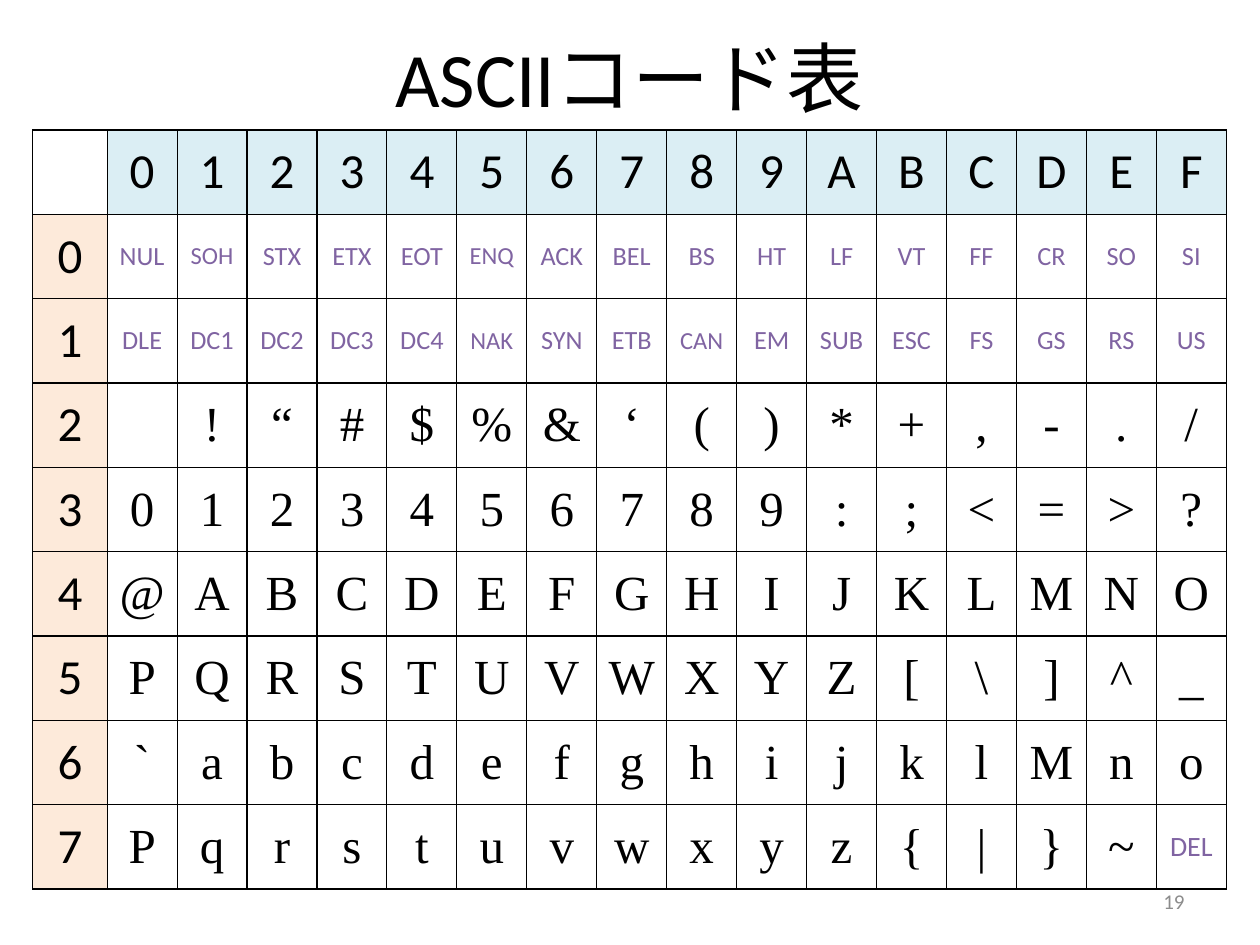
import pptx
import pptx.util
import pptx.dml.color
import pptx.enum.text
import pptx.oxml
import pptx.oxml.ns

Cm = pptx.util.Cm
Pt = pptx.util.Pt
Align = pptx.enum.text.PP_ALIGN
Anchor = pptx.enum.text.MSO_ANCHOR


def paint(hue):
    return pptx.dml.color.RGBColor.from_string(hue)


def write(frame, text, size, hue="000000", font="Calibri", align=Align.CENTER):
    para = frame.paragraphs[0]
    para.alignment = align
    run = para.add_run()
    run.text = text
    run.font.size = Pt(size)
    run.font.name = font
    run.font.color.rgb = paint(hue)
    return para


deck = pptx.Presentation()
deck.slide_width = Cm(25.4)
deck.slide_height = Cm(19.05)
slide = deck.slides.add_slide(deck.slide_layouts[6])

labels = [
    ("ASCIIコード表", (0.89, -0.05, 23.6, 3.18), 44, "000000", Align.CENTER),
    ("19", (18.2, 17.66, 5.93, 1.01), 12, "8C8C8C", Align.RIGHT),
]
for text, place, size, hue, align in labels:
    frame = slide.shapes.add_textbox(*[Cm(n) for n in place]).text_frame
    frame.word_wrap = True
    frame.vertical_anchor = Anchor.MIDDLE
    write(frame, text, size, hue, align=align)

rows = [
    ["", *"0123456789ABCDEF"],
    "0 NUL SOH STX ETX EOT ENQ ACK BEL BS HT LF VT FF CR SO SI".split(),
    "1 DLE DC1 DC2 DC3 DC4 NAK SYN ETB CAN EM SUB ESC FS GS RS US".split(),
    ["2", "", *"!“#$%&‘()*+,-./"],
    [*"30123456789:;<=>?"],
    [*"4@ABCDEFGHIJKLMNO"],
    [*"5PQRSTUVWXYZ[\\]^_"],
    [*"6`abcdefghijklMno"],
    [*"7Pqrstuvwxyz{|}~", "DEL"],
]
sizes = {"SOH": 14, "ENQ": 14, "NAK": 14, "CAN": 14, "DEL": 16}
space = pptx.oxml.ns.nsdecls("a")

grid = slide.shapes.add_table(9, 17, Cm(0.66), Cm(2.62), Cm(24.06), Cm(15.3)).table
grid.first_row = False
grid.horz_banding = False
for c, col in enumerate(grid.columns):
    col.width = Cm(1.41 if c else 1.5)
for row in grid.rows:
    row.height = Cm(1.7)

for r, row in enumerate(rows):
    for c, text in enumerate(row):
        cell = grid.cell(r, c)
        cell.vertical_anchor = Anchor.MIDDLE
        cell.margin_left = cell.margin_right = 0
        for side in ("lnL", "lnR", "lnT", "lnB"):
            cell._tc.get_or_add_tcPr().append(pptx.oxml.parse_xml(
                f'<a:{side} {space} w="9525"><a:solidFill>'
                f'<a:srgbClr val="000000"/></a:solidFill></a:{side}>'))
        head = r == 0 or c == 0
        if head and text:
            cell.fill.solid()
            cell.fill.fore_color.rgb = paint("FDEADA" if r else "DBEEF4")
        else:
            cell.fill.background()
        if not text:
            continue
        if head:
            look = (28,)
        elif r < 3 or text == "DEL":
            look = (sizes.get(text, 15), "8064A2")
        else:
            look = (28, "000000", "Times New Roman")
        para = write(cell.text_frame, text, *look)
        para.space_before = Pt(look[0] * 0.2)

deck.save("out.pptx")
